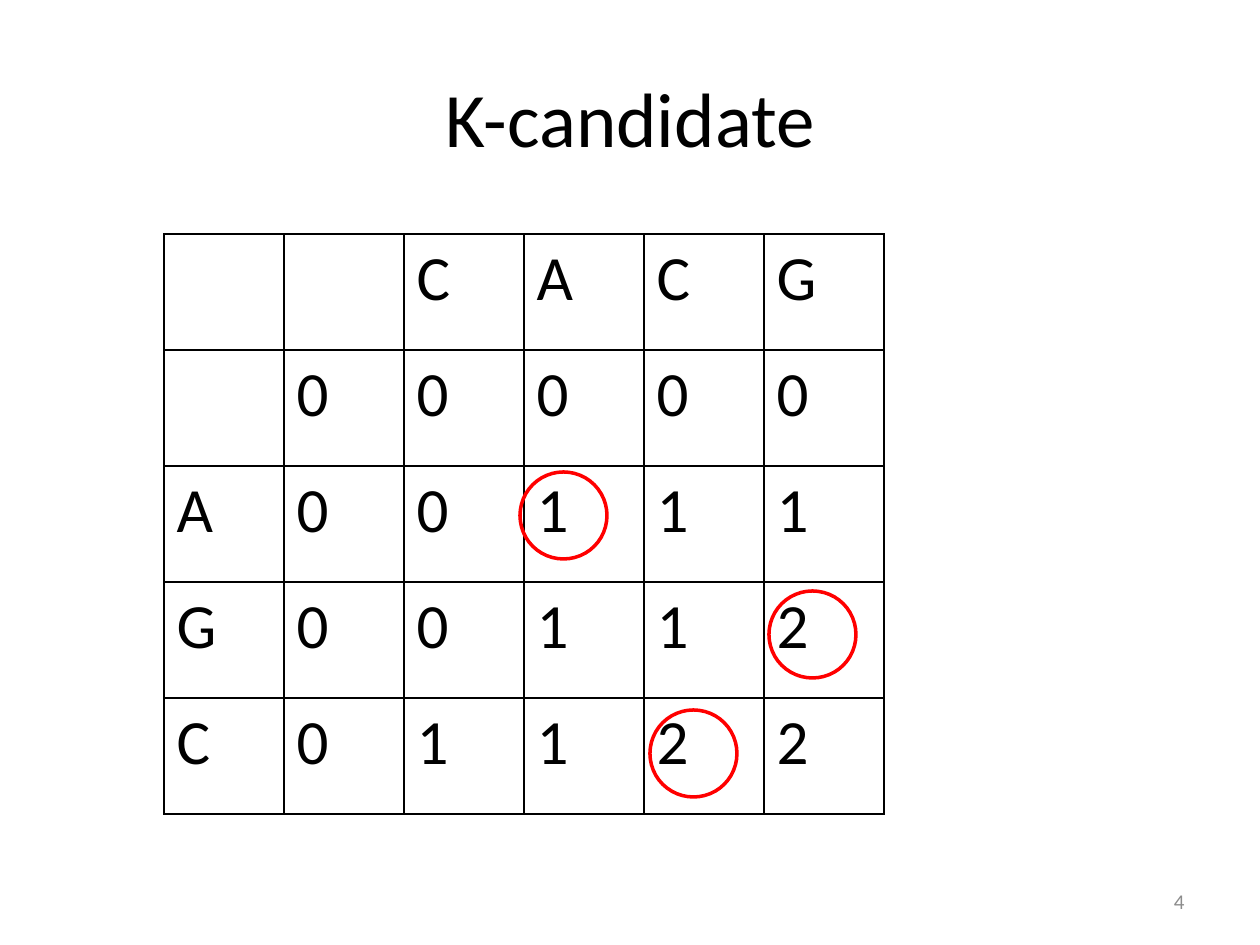
"""Build the K-candidate slide: a subsequence length table with circled cells."""
from lxml import etree
from pptx import Presentation
from pptx import util as u
from pptx.dml.color import RGBColor
from pptx.enum import shapes, text
from pptx.oxml import ns

TITLE = "K-candidate"
PAGE_NUMBER = "4"
ROWS = [
    ["", "", "C", "A", "C", "G"],
    ["", "0", "0", "0", "0", "0"],
    ["A", "0", "0", "1", "1", "1"],
    ["G", "0", "0", "1", "1", "2"],
    ["C", "0", "1", "1", "2", "2"],
]
CIRCLES = [(520, 472), (769, 591), (650, 710)]
CIRCLE_SIZE = 87
TABLE_LEFT, TABLE_TOP, COLUMN_WIDTH, ROW_HEIGHT = 164, 234, 120, 116
COLORS = {"ink": "000000", "muted": "8C8C8C", "circle": "FF0000", "paper": "FFFFFF"}
FONT = "Calibri"


def px(length):
    return u.Emu(round(length * 914400 / 126))


def color(name):
    return RGBColor.from_string(COLORS[name])


def add_span(para, words, size, ink):
    span = para.add_run()
    span.text = words
    span.font.name = FONT
    span.font.size = u.Pt(size)
    span.font.color.rgb = color(ink)


def add_label(page, area, words, size, ink, align):
    box = page.shapes.add_textbox(*map(px, area))
    frame = box.text_frame
    frame.word_wrap = True
    frame.vertical_anchor = text.MSO_ANCHOR.MIDDLE
    para = frame.paragraphs[0]
    para.alignment = align
    add_span(para, words, size, ink)


def add_borders(cell):
    properties = cell._tc.get_or_add_tcPr()
    for index, side in enumerate(("lnL", "lnR", "lnT", "lnB")):
        line = etree.Element(ns.qn(f"a:{side}"), w=str(u.Pt(1)))
        fill = etree.SubElement(line, ns.qn("a:solidFill"))
        etree.SubElement(fill, ns.qn("a:srgbClr"), val=COLORS["ink"])
        properties.insert(index, line)


def add_grid(page):
    size = (len(ROWS[0]) * COLUMN_WIDTH, len(ROWS) * ROW_HEIGHT)
    area = map(px, (TABLE_LEFT, TABLE_TOP, *size))
    table = page.shapes.add_table(len(ROWS), len(ROWS[0]), *area).table
    table.first_row = table.horz_banding = False
    for column in table.columns:
        column.width = px(COLUMN_WIDTH)
    for row, values in zip(table.rows, ROWS):
        row.height = px(ROW_HEIGHT)
        for cell, value in zip(row.cells, values):
            cell.fill.solid()
            cell.fill.fore_color.rgb = color("paper")
            add_borders(cell)
            if value:
                add_span(cell.text_frame.paragraphs[0], value, 36, "ink")


def add_circle(page, left, top):
    area = map(px, (left, top, CIRCLE_SIZE, CIRCLE_SIZE))
    circle = page.shapes.add_shape(shapes.MSO_SHAPE.OVAL, *area)
    circle.shadow.inherit = False
    circle.fill.background()
    circle.line.color.rgb = color("circle")
    circle.line.width = u.Pt(2)


def main():
    deck = Presentation()
    deck.slide_width, deck.slide_height = px(1260), px(945)
    page = deck.slides.add_slide(deck.slide_layouts[6])
    add_label(page, (63, 38, 1134, 158), TITLE, 44, "ink", text.PP_ALIGN.CENTER)
    add_grid(page)
    add_label(page, (903, 876, 294, 50), PAGE_NUMBER, 12, "muted", text.PP_ALIGN.RIGHT)
    for left, top in CIRCLES:
        add_circle(page, left, top)
    deck.save("out.pptx")


if __name__ == "__main__":
    main()
